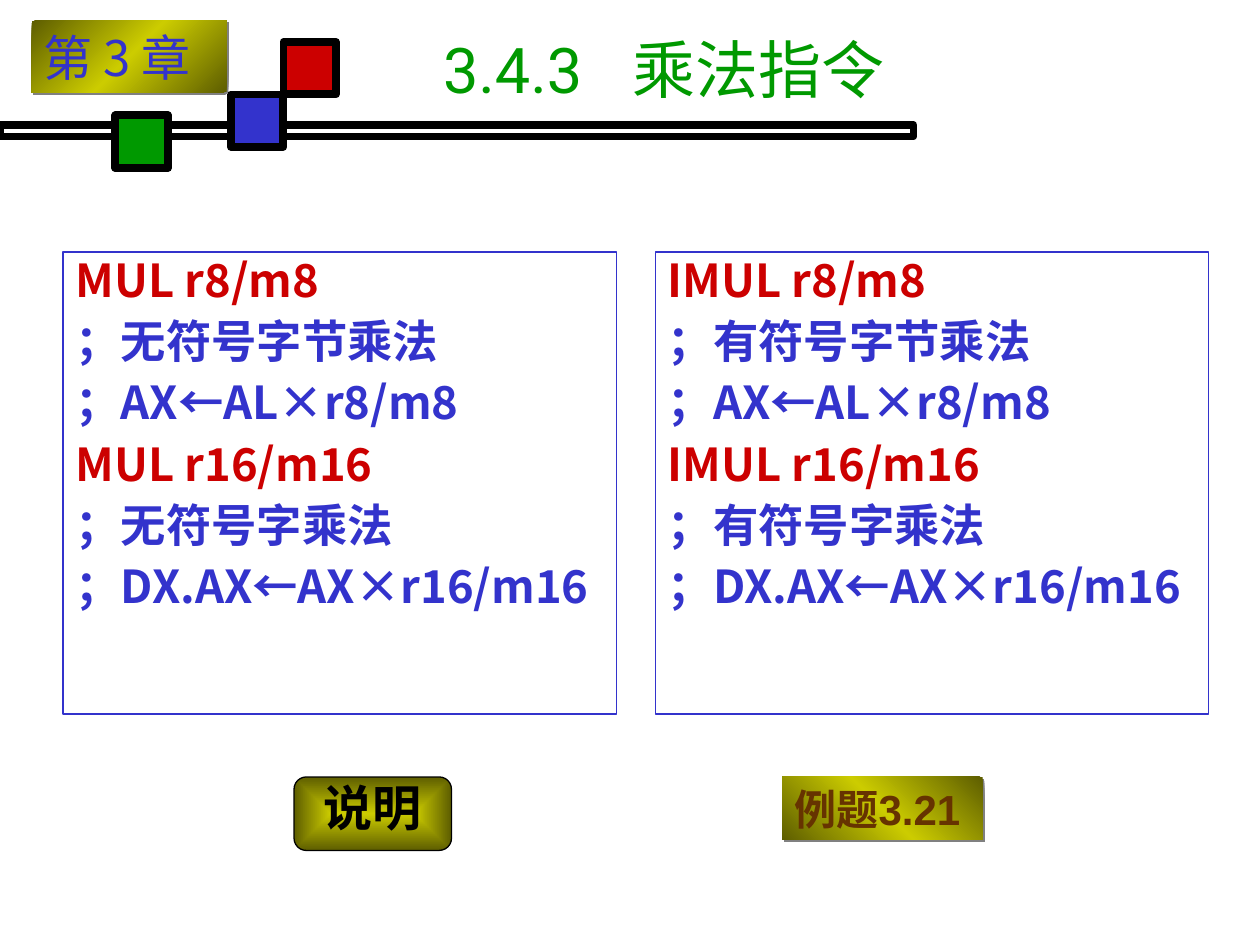
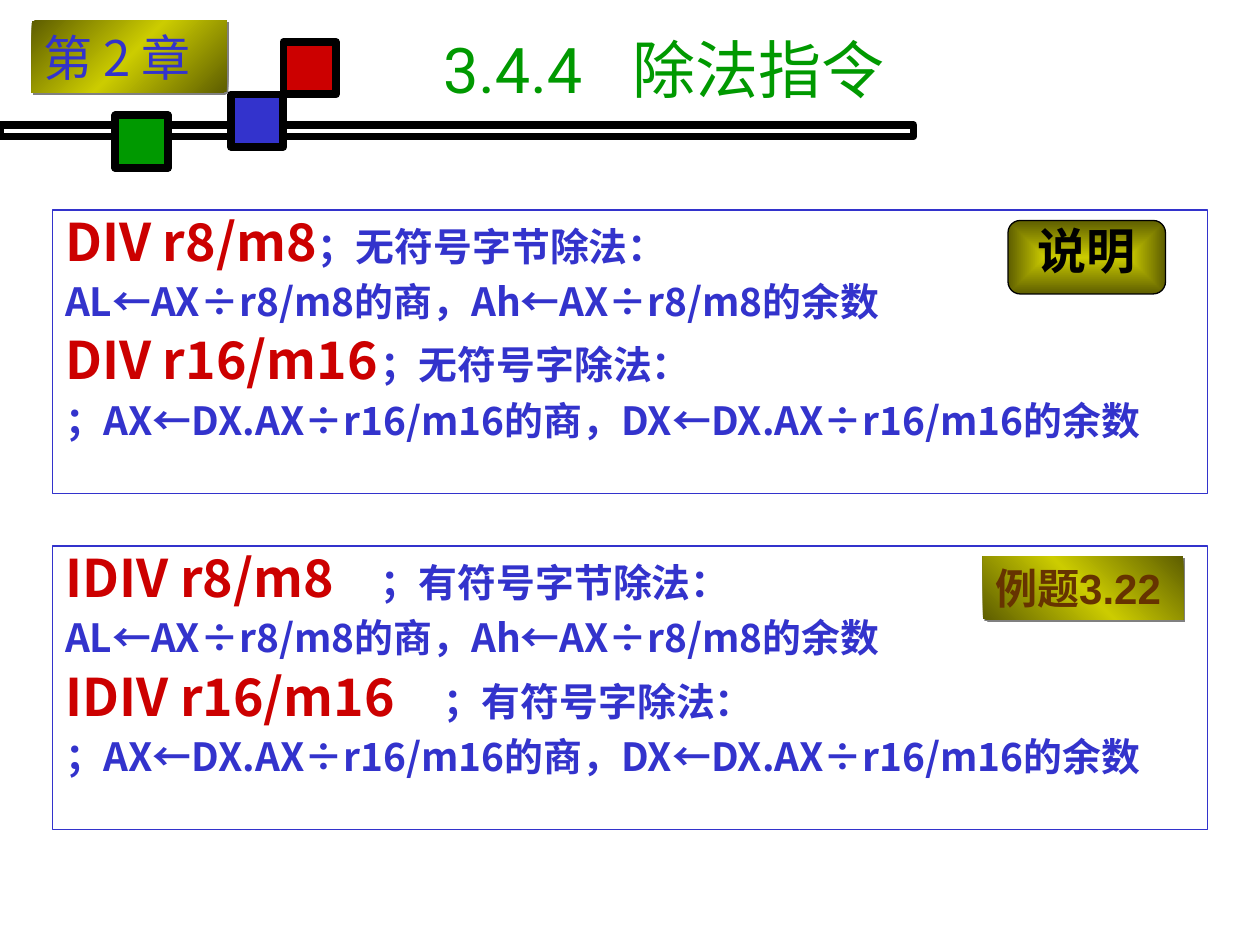
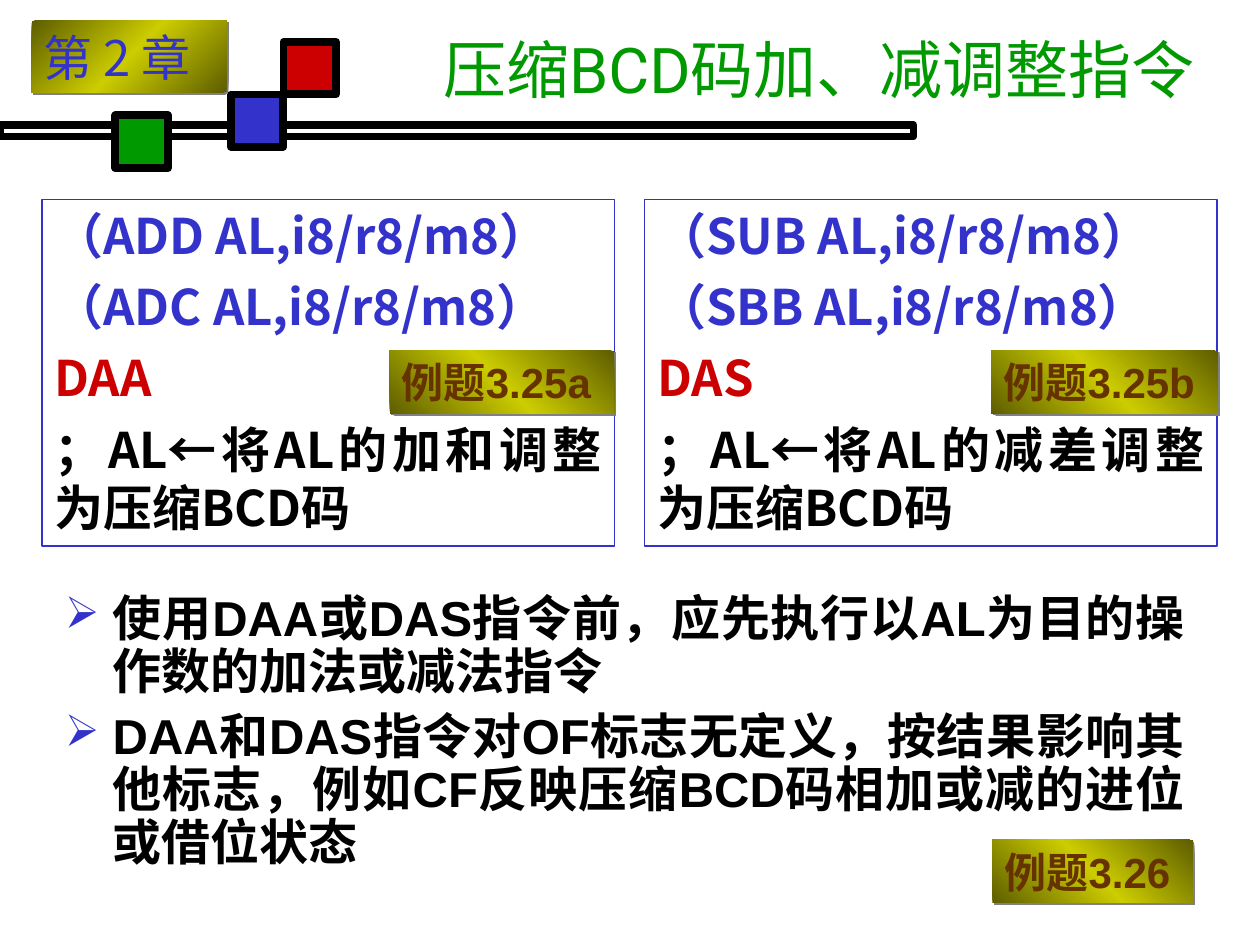
from lxml import etree
from pptx import Presentation
from pptx import util as u
from pptx.dml.color import RGBColor
from pptx.enum import shapes, text
from pptx.oxml import parse_xml
from pptx.oxml.ns import nsdecls, qn

BLUE = RGBColor(0x33, 0x33, 0xCC)
GREEN = RGBColor(0x00, 0x99, 0x00)
RED = RGBColor(0xCC, 0x00, 0x00)
BROWN = RGBColor(0x66, 0x33, 0x00)
BLACK = RGBColor(0, 0, 0)
WHITE = RGBColor(255, 255, 255)
OLIVE = RGBColor(0x5E, 0x5E, 0x00)
YELLOW = RGBColor(0xCC, 0xCC, 0x00)
GREY = RGBColor(0x80, 0x80, 0x80)

CODE_FONT, TITLE_FONT, BADGE_FONT, CHAPTER_FONT = (
    "Noto Sans CJK SC", "Roboto", "Arial", "Noto Sans CJK JP")
CELL = 1 / 12  # grid cell in inches: 120 columns by 90 rows
RECTANGLE = shapes.MSO_SHAPE.RECTANGLE
ROUNDED = shapes.MSO_SHAPE.ROUNDED_RECTANGLE
LEFT, CENTER, JUSTIFY = text.PP_ALIGN.LEFT, text.PP_ALIGN.CENTER, text.PP_ALIGN.JUSTIFY

presentation = Presentation()
presentation.slide_width, presentation.slide_height = u.Inches(10), u.Inches(7.5)


def write(shape, lines, font, bold=True, align=JUSTIFY, spacing=None, before=0,
          hanging=0, bullet=None, tabs=range(1, 8)):
    """Fill a shape with lines; each line is a list of (text, size, colour) runs."""
    frame = shape.text_frame
    frame.auto_size = text.MSO_AUTO_SIZE.NONE
    for index, line in enumerate(lines):
        paragraph = frame.paragraphs[0] if index == 0 else frame.add_paragraph()
        paragraph.alignment = align
        paragraph.line_spacing = spacing
        paragraph.space_before = u.Pt(before if index else 0)
        properties = paragraph._p.get_or_add_pPr()
        properties.set("marL", str(u.Inches(hanging)))
        properties.set("indent", str(-u.Inches(hanging)))
        if bullet:
            color = etree.SubElement(properties, qn("a:buClr"))
            etree.SubElement(color, qn("a:srgbClr"), val=str(BLUE))
            etree.SubElement(properties, qn("a:buSzPct"), val="90000")
            etree.SubElement(properties, qn("a:buChar"), char=bullet)
        else:
            etree.SubElement(properties, qn("a:buNone"))
        stops = etree.SubElement(properties, qn("a:tabLst"))
        for stop in tabs:
            etree.SubElement(stops, qn("a:tab"), pos=str(u.Inches(stop)), algn="l")
        for words, size, color in line:
            run = paragraph.add_run()
            run.text = words
            run.font.size, run.font.bold, run.font.name = u.Pt(size), bold, font
            run.font.color.rgb = color
            etree.SubElement(run._r.get_or_add_rPr(), qn("a:ea"), typeface=font)


def add_box(slide, kind, cells, fill=None, line=None, width=0, angle=None):
    """Add a shape on the grid; an angle gives it the olive sheen and a shadow."""
    box = slide.shapes.add_shape(kind, *[u.Inches(cell * CELL) for cell in cells])
    box.shadow.inherit = False
    box.text_frame.word_wrap = False
    if fill is None:
        box.fill.background()
    else:
        box.fill.solid()
        box.fill.fore_color.rgb = fill
    if line is None:
        box.line.fill.background()
    else:
        box.line.color.rgb, box.line.width = line, u.Pt(width)
    if angle is not None:
        box.fill.gradient()
        box.text_frame.vertical_anchor = text.MSO_ANCHOR.TOP
        if kind == ROUNDED:
            colors = [(0, YELLOW), (100, OLIVE)]
            course = ('<a:path path="rect"><a:fillToRect l="50000" t="50000" '
                      'r="50000" b="50000"/></a:path>')
        else:
            colors = [(0, OLIVE), (50, YELLOW), (100, OLIVE)]
            course = f'<a:lin ang="{angle * 60000}" scaled="0"/>'
            effects = box._element.spPr.find(qn("a:effectLst"))
            shadow = etree.SubElement(effects, qn("a:outerShdw"), dist=str(u.Pt(1.4)),
                                      dir="2700000", algn="ctr", rotWithShape="0")
            etree.SubElement(shadow, qn("a:srgbClr"), val=str(GREY))
        stops = "".join(f'<a:gs pos="{position * 1000}"><a:srgbClr val="{color}"/></a:gs>'
                        for position, color in colors)
        gradient = box._element.spPr.find(qn("a:gradFill"))
        box._element.spPr.replace(gradient, parse_xml(
            f'<a:gradFill {nsdecls("a")} rotWithShape="1"><a:gsLst>{stops}</a:gsLst>'
            f'{course}</a:gradFill>'))
    return box


# Multiplication panels
multiply_panels = [
    [[(words, 25.9, RED if "MUL" in words else BLUE)] for words in (
        f"{name} r8/m8", f"；{sign}符号字节乘法", "；AX←AL×r8/m8",
        f"{name} r16/m16", f"；{sign}符号字乘法", "；DX.AX←AX×r16/m16")]
    for name, sign in (("MUL", "无"), ("IMUL", "有"))]

# Division panels
divide_panels = [
    [[(f"{name} r8/m8", 29.6, RED), ("\t", 25.9, RED), (f"；{sign}符号字节除法：", 22.2, BLUE)],
     [("AL←AX÷r8/m8的商，Ah←AX÷r8/m8的余数", 22.2, BLUE)],
     [(f"{name} r16/m16", 29.6, RED), ("\t", 25.9, RED), (f"；{sign}符号字除法：", 22.2, BLUE)],
     [("；AX←DX.AX÷r16/m16的商，DX←DX.AX÷r16/m16的余数", 22.2, BLUE)]]
    for name, sign in (("DIV", "无"), ("IDIV", "有"))]

# Decimal adjustment panels
adjust_panels = [
    [[(f"（{plain} AL,i8/r8/m8）", 28, BLUE)], [(f"（{carry} AL,i8/r8/m8）", 28, BLUE)],
     [(adjust, 28, RED)], [(f"；AL←将AL的{result}调整为压缩BCD码", 28, BLACK)]]
    for plain, carry, adjust, result in (
        ("ADD", "ADC", "DAA", "加和"), ("SUB", "SBB", "DAS", "减差"))]

adjust_notes = [
    "使用DAA或DAS指令前，应先执行以AL为目的操作数的加法或减法指令",
    "DAA和DAS指令对OF标志无定义，按结果影响其他标志，例如CF反映压缩BCD码相加或减的进位或借位状态"]

# Places are grid cells: left, top, width, height
pages = [
    dict(title="3.4.3\t乘法指令", chapter="第 3 章", panels=multiply_panels, fill=WHITE,
         places=[(6, 24, 52.7, 44), (62.4, 24, 52.7, 44)], line=0.75,
         style=dict(spacing=0.9, before=7, hanging=0.38), notes=[], button=(28, 74),
         examples=[("例题3.21", 74.5, 74, 19.1)]),
    dict(title="3.4.4\t除法指令", chapter="第 2 章", panels=divide_panels, fill=WHITE,
         places=[(5, 20, 110, 27), (5, 52, 110, 27)], line=1,
         style=dict(spacing=0.9, before=6), notes=[], button=(96, 21),
         examples=[("例题3.22", 93.6, 53, 19.1)]),
    dict(title="压缩BCD码加、减调整指令", chapter="第 2 章", panels=adjust_panels, fill=None,
         places=[(4, 19, 54.5, 33), (61.4, 19, 54.5, 33)], line=0.75,
         style=dict(before=7), notes=adjust_notes, button=None,
         examples=[("例题3.25a", 37.1, 33.4, 21.4), ("例题3.25b", 94.4, 33.4, 21.6),
                   ("例题3.26", 94.5, 80, 19.1)]),
]

for page in pages:
    slide = presentation.slides.add_slide(presentation.slide_layouts.get_by_name("Two Content"))
    title, *panels = slide.placeholders

    # Title and instruction panels
    for shape, cells in zip((title, *panels), [(41, 1, 79, 11), *page["places"]]):
        shape.left, shape.top, shape.width, shape.height = [
            u.Inches(cell * CELL) for cell in cells]
    title.text_frame.vertical_anchor = text.MSO_ANCHOR.MIDDLE
    write(title, [[(page["title"], 36, GREEN)]], TITLE_FONT, bold=False, tabs=[1.47])
    for panel, lines in zip(panels, page["panels"]):
        if page["fill"] is not None:
            panel.fill.solid()
            panel.fill.fore_color.rgb = page["fill"]
        panel.line.color.rgb, panel.line.width = BLUE, u.Pt(page["line"])
        write(panel, lines, CODE_FONT, **page["style"])

    # Notes below the panels
    if page["notes"]:
        notes = slide.shapes.add_textbox(*[u.Inches(cell * CELL) for cell in (5, 56, 109, 28)])
        notes.text_frame.word_wrap = True
        write(notes, [[(note, 28, BLACK)] for note in page["notes"]], BADGE_FONT,
              spacing=0.9, before=7, hanging=0.38, bullet="➢")

    # Header band with squares and chapter badge
    add_box(slide, RECTANGLE, (0, 11.9, 87, 1.1), line=BLACK, width=4.5)
    for left, top, color in ((22, 9, BLUE), (11, 11, GREEN), (27, 4, RED)):
        add_box(slide, RECTANGLE, (left, top, 5, 5), color, BLACK, 4.5)
    chapter = add_box(slide, RECTANGLE, (3, 2, 18.6, 6.8), angle=225)
    write(chapter, [[(page["chapter"], 28, BLUE)]], CHAPTER_FONT, bold=False, align=LEFT)

    # Explanation button and example badges
    if page["button"]:
        button = add_box(slide, ROUNDED, (*page["button"], 15, 7), line=BLACK, width=0.75, angle=0)
        button.text_frame.vertical_anchor = text.MSO_ANCHOR.MIDDLE
        write(button, [[("说明", 28, BLACK)]], BADGE_FONT, align=CENTER, spacing=0.7)
    for label, left, top, width in page["examples"]:
        badge = add_box(slide, RECTANGLE, (left, top, width, 6), angle=135)
        write(badge, [[(label, 24, BROWN)]], BADGE_FONT, align=LEFT)

presentation.save("out.pptx")
